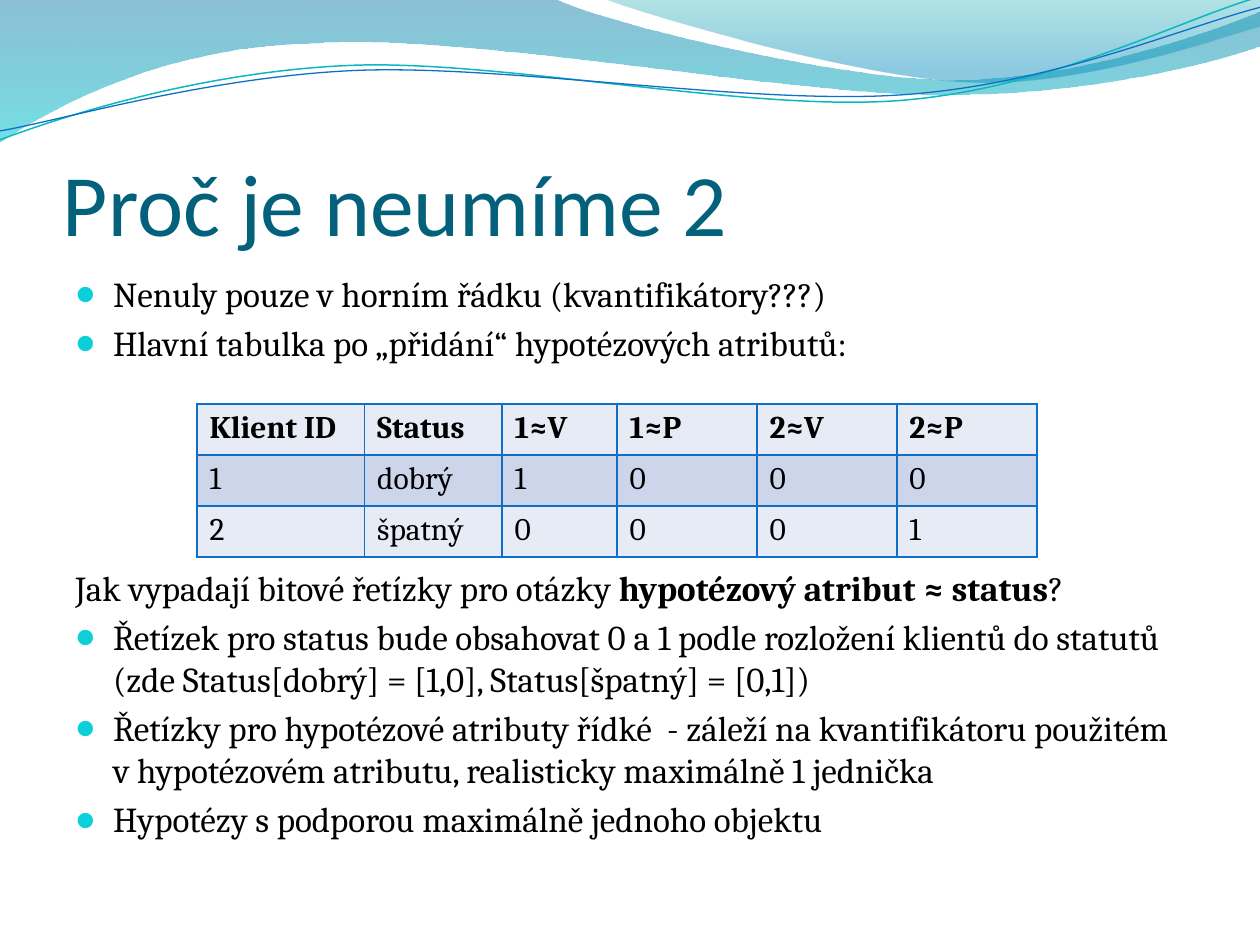
from lxml.etree import SubElement
from pptx import Presentation
from pptx.dml.color import RGBColor as RGB
from pptx.enum.text import MSO_ANCHOR as Anchor
from pptx.oxml.ns import qn
from pptx.util import Cm, Pt

TITLE = "Proč je neumíme 2"
# Each paragraph: has a bullet, space before in points, then its runs;
# every second run is bold. The wide space makes room for the table.
BODY = [
    (True, 4, ["Nenuly pouze v horním řádku (kvantifikátory???)"]),
    (True, 4, ["Hlavní tabulka po „přidání“ hypotézových atributů:"]),
    (False, 116, ["Jak vypadají bitové řetízky pro otázky ",
                  "hypotézový atribut ≈ status", "?"]),
    (True, 4, ["Řetízek pro status bude obsahovat 0 a 1 podle rozložení "
               "klientů do statutů (zde Status[dobrý] = [1,0], "
               "Status[špatný] = [0,1])"]),
    (True, 4, ["Řetízky pro hypotézové atributy řídké  - záleží na "
               "kvantifikátoru použitém v hypotézovém atributu, realisticky "
               "maximálně 1 jednička"]),
    (True, 4, ["Hypotézy s podporou maximálně jednoho objektu"]),
]
ROWS = [
    ["Klient ID", "Status", "1≈V", "1≈P", "2≈V", "2≈P"],
    ["1", "dobrý", "1", "0", "0", "0"],
    ["2", "špatný", "0", "0", "0", "1"],
]
WIDTHS = [3.38, 2.77, 2.32, 2.82, 2.82, 2.82]
ROW_H = 1.03
BANDS = ["E7EBF5", "CCD5EA"]
BLUE, BLACK = "0F6FC6", "000000"

# Steps in cm: two numbers are a corner, six are a Bezier curve.
WAVES = [
    ([(0, 0), (11.18, -0.03),
      (12.09, 0.43, 16.87, 1.6, 19.25, 1.6),
      (21.67, 1.6, 24.33, 0.66, 25.4, 0.23), (25.43, 0.91),
      (24.97, 1.12, 22.1, 1.93, 18.95, 1.91),
      (15.8, 1.91, 9.7, 0.71, 6.53, 0.86),
      (3.28, 0.91, 1.17, 2.11, -0.03, 2.87)],
     [(0, "0074A1", 45), (1, "00C6CF", 55)]),
    ([(12.17, -0.03), (12.93, 0.28, 17.32, 1.57, 19.53, 1.65),
      (21.74, 1.75, 24.41, 0.81, 25.4, 0.53), (25.4, 0)],
     [(0, "00A1A9", 30), (0.8, "008BBF", 45)]),
]
LINES = [
    ([(0, 2.82), (1.22, 2.36, 4.01, 1.45, 7.04, 1.32),
      (10.03, 1.19, 15.06, 2.26, 18.11, 2.03),
      (21.16, 1.8, 23.83, 0.38, 25.35, -0.05)], "0AB8BF", 0.85),
    ([(0, 2.64), (1.19, 2.44, 4.17, 1.55, 7.19, 1.42),
      (10.24, 1.3, 15.16, 2.13, 18.21, 1.91),
      (21.23, 1.7, 23.9, 0.53, 25.4, 0.15)], BLUE, 0.75),
]


def color(code):
    """Turn a hex string into a colour."""
    return RGB.from_string(code)


def outline(steps, close):
    """Draw a freeform of corners and Bezier curves, without shadow."""
    pts = [(Cm(s[i]), Cm(s[i + 1])) for s in steps
           for i in range(0, len(s), 2)]
    pen = shapes.build_freeform(*pts[0])
    pen.add_line_segments(pts[1:], close=close)
    shape = pen.convert_to_shape()
    shape.shadow.inherit = False
    legs = iter(list(shape._element.iter(qn("a:lnTo"))))
    for step in steps[1:]:
        leg = next(legs)
        if len(step) == 6:
            bend = leg.makeelement(qn("a:cubicBezTo"), {})
            leg.addprevious(bend)
            for part in (leg, next(legs), next(legs)):
                bend.append(part[0])
                part.getparent().remove(part)
    return shape


def wave(steps, stops):
    """Draw a filled wave with a see-through gradient running down."""
    shape = outline(steps, True)
    shape.line.fill.background()
    fill = shape.fill
    fill.gradient()
    fill.gradient_angle = 270
    for stop, (pos, code, _) in zip(fill.gradient_stops, stops):
        stop.position = pos
        stop.color.rgb = color(code)
    tags = shape._element.spPr.iter(qn("a:srgbClr"))
    for tag, (_, _, alpha) in zip(tags, stops):
        SubElement(tag, qn("a:alpha"), val=str(alpha * 1000))


def curve(steps, code, width):
    """Draw an open curved line."""
    shape = outline(steps, False)
    shape.fill.background()
    shape.line.color.rgb = color(code)
    shape.line.width = Pt(width)


def style(font, name, size, code, bold=False):
    """Set the look of a font."""
    font.name, font.size, font.bold = name, Pt(size), bold
    font.color.rgb = color(code)


def frame(x, y, w, h):
    """Add a wrapping text box and return its text frame."""
    text = shapes.add_textbox(Cm(x), Cm(y), Cm(w), Cm(h)).text_frame
    text.word_wrap = True
    return text


def bullet(props):
    """Add a round turquoise bullet to paragraph properties."""
    clr = SubElement(props, qn("a:buClr"))
    SubElement(clr, qn("a:srgbClr"), val="0BD0D9")
    SubElement(props, qn("a:buSzPct"), val="95000")
    SubElement(props, qn("a:buFont"), typeface="Calibri")
    SubElement(props, qn("a:buChar"), char="●")


def body(y, h):
    """Write the hanging paragraphs into one text box."""
    text = frame(1.27, y, 22.86, h)
    for i, (dot, gap, runs) in enumerate(BODY):
        para = text.add_paragraph() if i else text.paragraphs[0]
        para.space_before = Pt(gap)
        props = para._p.get_or_add_pPr()
        props.set("marL", str(Cm(0.76)))
        props.set("indent", str(Cm(-0.76)))
        if dot:
            bullet(props)
        style(para.font, "Cambria", 20, BLACK)
        for j, words in enumerate(runs):
            run = para.add_run()
            run.text = words
            if j % 2:
                run.font.bold = True


def border(cell):
    """Put a thin blue line on all four sides of a cell."""
    props = cell._tc.get_or_add_tcPr()
    for i, side in enumerate(("a:lnL", "a:lnR", "a:lnT", "a:lnB")):
        line = props.makeelement(qn(side), {"w": str(Pt(1))})
        props.insert(i, line)
        fill = SubElement(line, qn("a:solidFill"))
        SubElement(fill, qn("a:srgbClr"), val=BLUE)


def grid(x, y):
    """Build the client table."""
    table = shapes.add_table(len(ROWS), len(WIDTHS), Cm(x), Cm(y),
                             Cm(sum(WIDTHS)), Cm(ROW_H * len(ROWS))).table
    table.first_row = table.horz_banding = False
    for col, width in zip(table.columns, WIDTHS):
        col.width = Cm(width)
    for r, row in enumerate(ROWS):
        table.rows[r].height = Cm(ROW_H)
        for c, words in enumerate(row):
            cell = table.cell(r, c)
            cell.text = words
            style(cell.text_frame.paragraphs[0].font, "Cambria", 18, BLACK,
                  r == 0)
            cell.fill.solid()
            cell.fill.fore_color.rgb = color(BANDS[r % 2])
            border(cell)


deck = Presentation()
deck.slide_width, deck.slide_height = Cm(25.4), Cm(19.05)
shapes = deck.slides.add_slide(deck.slide_layouts[6]).shapes

for item in WAVES:
    wave(*item)
for item in LINES:
    curve(*item)

head = frame(1.27, 1.96, 22.86, 3.17)
head.vertical_anchor = Anchor.BOTTOM
head.margin_left = head.margin_right = head.margin_bottom = 0
head.text = TITLE
style(head.paragraphs[0].font, "Calibri", 50, "04617B")

body(5.37, 12.19)
grid(3.97, 8.14)
deck.save("out.pptx")
